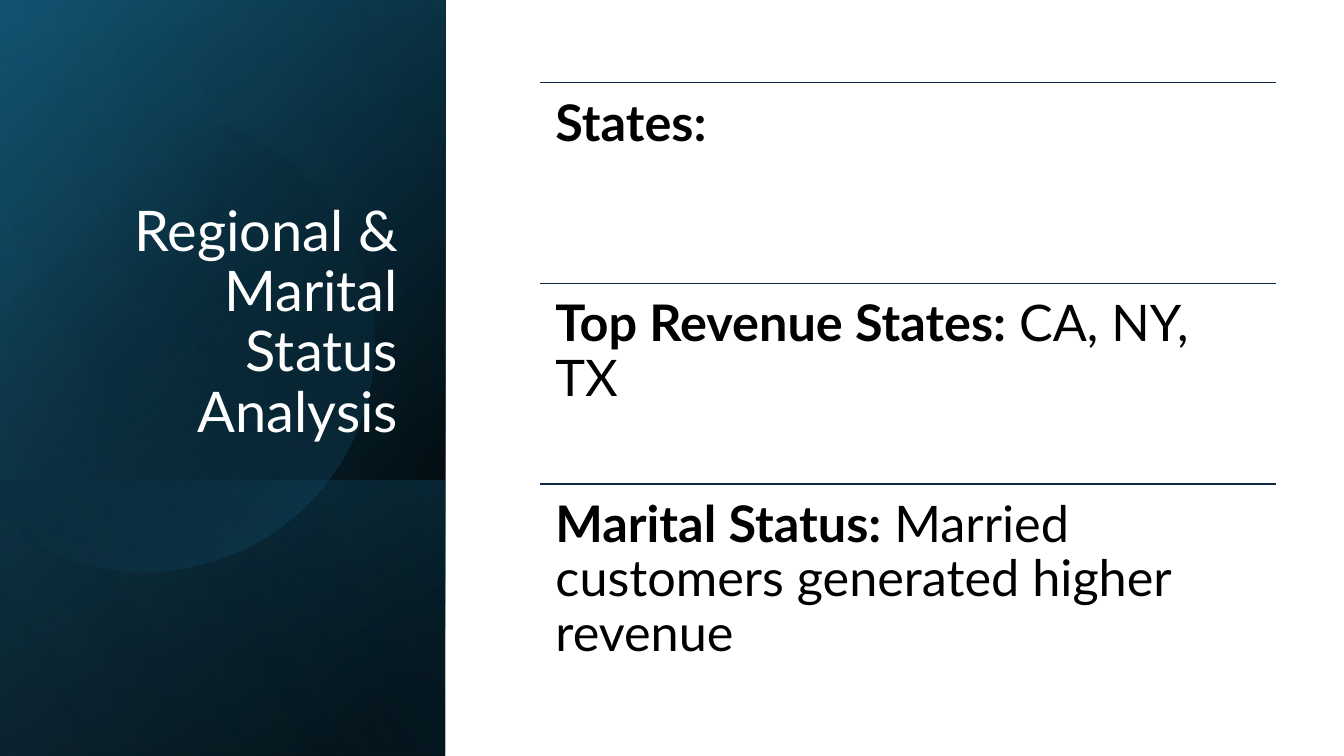
from lxml import etree
from pptx import Presentation
from pptx.dml.color import RGBColor
from pptx.enum.shapes import MSO_CONNECTOR, MSO_SHAPE
from pptx.enum.text import MSO_ANCHOR, PP_ALIGN
from pptx.oxml.ns import qn
from pptx.util import Pt

RECTANGLE = MSO_SHAPE.RECTANGLE
STRAIGHT = MSO_CONNECTOR.STRAIGHT
TOP, BOTTOM = MSO_ANCHOR.TOP, MSO_ANCHOR.BOTTOM
LEFT, RIGHT = PP_ALIGN.LEFT, PP_ALIGN.RIGHT

TITLE = "Regional & Marital Status Analysis"
FINDINGS = [  # bold label, plain detail
    ("States:", ""),
    ("Top Revenue States:", " CA, NY, TX"),
    ("Marital Status:", " Married customers generated higher revenue"),
]

THEME = {
    "font": "Lato",
    "title_size": 40,
    "finding_size": 36,
    "title_color": "FFFFFF",
    "text_color": "000000",
    "rule_color": "0E2841",
    "black": "000000",
    "navy": "104862",
    "teal": "156082",
    "sky": "46B1E1",
}

SLIDE_WIDTH, SLIDE_HEIGHT = 960, 540
PANEL_WIDTH, PANEL_FOOT_TOP = 318, 343
TITLE_BOX = (45.8, 132.5, 245.5, 188.6)
FINDING_LEFT, FINDING_TOP, FINDING_WIDTH, FINDING_PITCH = 386, 59.04, 525.2, 143.28

# Gradients: clockwise angle, then stops of (position %, colour, opacity %)
BASE = (220, [(8, "black", 100), (100, "navy", 100)])
GLOW = (240, [(0, "black", 0), (99, "teal", 46)])
FOOT = (140, [(2, "teal", 29), (100, "black", 30)])
DISC = (46, [(29, "black", 0), (100, "teal", 43)])
SHEEN = (150, [(0, "black", 0), (99, "sky", 11)])

# Disc cut off by the slide's left edge, as a chain of lines (one point)
# and cubic curves (two control points and an end)
DISC_BOX = (-40, 76, 307, 329)
DISC_START = (107, 79)
DISC_OUTLINE = [
    ((177, 81), (241, 127), (261, 198)),
    ((287, 286), (236, 377), (149, 402)),
    ((94, 418), (38, 404), (-2, 370)),
    ((-11, 362),),
    ((-11, 126),),
    ((0, 116),),
    ((17, 102), (36, 93), (58, 86)),
    ((74, 81), (91, 79), (107, 79)),
]


def points(*values):
    return [Pt(value) for value in values]


def fill_gradient(shape, gradient):
    angle, stops = gradient
    shape.shadow.inherit = False
    shape.line.fill.background()
    shape.fill.background()
    fill = etree.Element(qn("a:gradFill"), rotWithShape="1")
    stop_list = etree.SubElement(fill, qn("a:gsLst"))
    for position, color, opacity in stops:
        stop = etree.SubElement(stop_list, qn("a:gs"), pos=str(position * 1000))
        rgb = etree.SubElement(stop, qn("a:srgbClr"), val=THEME[color])
        if opacity < 100:
            etree.SubElement(rgb, qn("a:alpha"), val=str(opacity * 1000))
    etree.SubElement(fill, qn("a:lin"), ang=str(angle * 60000), scaled="0")
    properties = shape.element.spPr
    properties.replace(properties.find(qn("a:noFill")), fill)


def add_panel(slide, top, gradient):
    """Add one gradient layer from the given top to the slide's foot."""
    panel = slide.shapes.add_shape(
        RECTANGLE, *points(0, top, PANEL_WIDTH, SLIDE_HEIGHT - top))
    fill_gradient(panel, gradient)


def add_disc(slide):
    """Add the disc as a freeform, then bend its straight sides into curves."""
    builder = slide.shapes.build_freeform(*points(*DISC_START), scale=1.0)
    builder.add_line_segments([points(*segment[-1]) for segment in DISC_OUTLINE])
    disc = builder.convert_to_shape()
    left, top, width, height = points(*DISC_BOX)
    disc.left, disc.top, disc.width, disc.height = left, top, width, height

    outline = disc.element.spPr.find(".//" + qn("a:path"))
    outline.set("w", str(width))
    outline.set("h", str(height))
    for child in list(outline):
        outline.remove(child)
    steps = [("moveTo", (DISC_START,))]
    steps += [("cubicBezTo" if len(segment) == 3 else "lnTo", segment)
              for segment in DISC_OUTLINE]
    for command, corners in steps:
        step = etree.SubElement(outline, qn("a:" + command))
        for x, y in corners:
            etree.SubElement(step, qn("a:pt"), x=str(Pt(x) - left), y=str(Pt(y) - top))
    etree.SubElement(outline, qn("a:close"))
    fill_gradient(disc, DISC)


def add_text(slide, box, runs, size, color, alignment, anchor, insets):
    """Add a one-paragraph text box; runs are (text, bold) pairs."""
    frame = slide.shapes.add_textbox(*points(*box)).text_frame
    frame.word_wrap = True
    frame.vertical_anchor = anchor
    frame.margin_left = frame.margin_right = Pt(insets[0])
    frame.margin_top = frame.margin_bottom = Pt(insets[1])
    paragraph = frame.paragraphs[0]
    paragraph.alignment = alignment
    paragraph.line_spacing = 0.9
    paragraph.font.name = THEME["font"]
    paragraph.font.size = Pt(THEME[size])
    paragraph.font.color.rgb = RGBColor.from_string(THEME[color])
    for text, bold in runs:
        if text:
            run = paragraph.add_run()
            run.text = text
            run.font.bold = bold


def add_rule(slide, top):
    rule = slide.shapes.add_connector(
        STRAIGHT, *points(FINDING_LEFT, top, FINDING_LEFT + FINDING_WIDTH, top))
    rule.line.color.rgb = RGBColor.from_string(THEME["rule_color"])
    rule.line.width = Pt(1)
    etree.SubElement(rule.element.spPr, qn("a:effectLst"))


def main():
    presentation = Presentation()
    presentation.slide_width, presentation.slide_height = points(SLIDE_WIDTH, SLIDE_HEIGHT)
    slide = presentation.slides.add_slide(presentation.slide_layouts[6])

    add_panel(slide, 0, BASE)
    add_panel(slide, 0, GLOW)
    add_panel(slide, PANEL_FOOT_TOP, FOOT)
    add_disc(slide)
    add_panel(slide, 0, SHEEN)
    add_text(slide, TITLE_BOX, [(TITLE, False)], "title_size", "title_color",
             RIGHT, BOTTOM, (7.2, 3.6))

    for row, (label, detail) in enumerate(FINDINGS):
        top = FINDING_TOP + row * FINDING_PITCH
        add_rule(slide, top)
        add_text(slide, (FINDING_LEFT, top, FINDING_WIDTH, FINDING_PITCH),
                 [(label, True), (detail, False)], "finding_size", "text_color",
                 LEFT, TOP, (10.8, 10.8))

    presentation.save("out.pptx")


if __name__ == "__main__":
    main()
